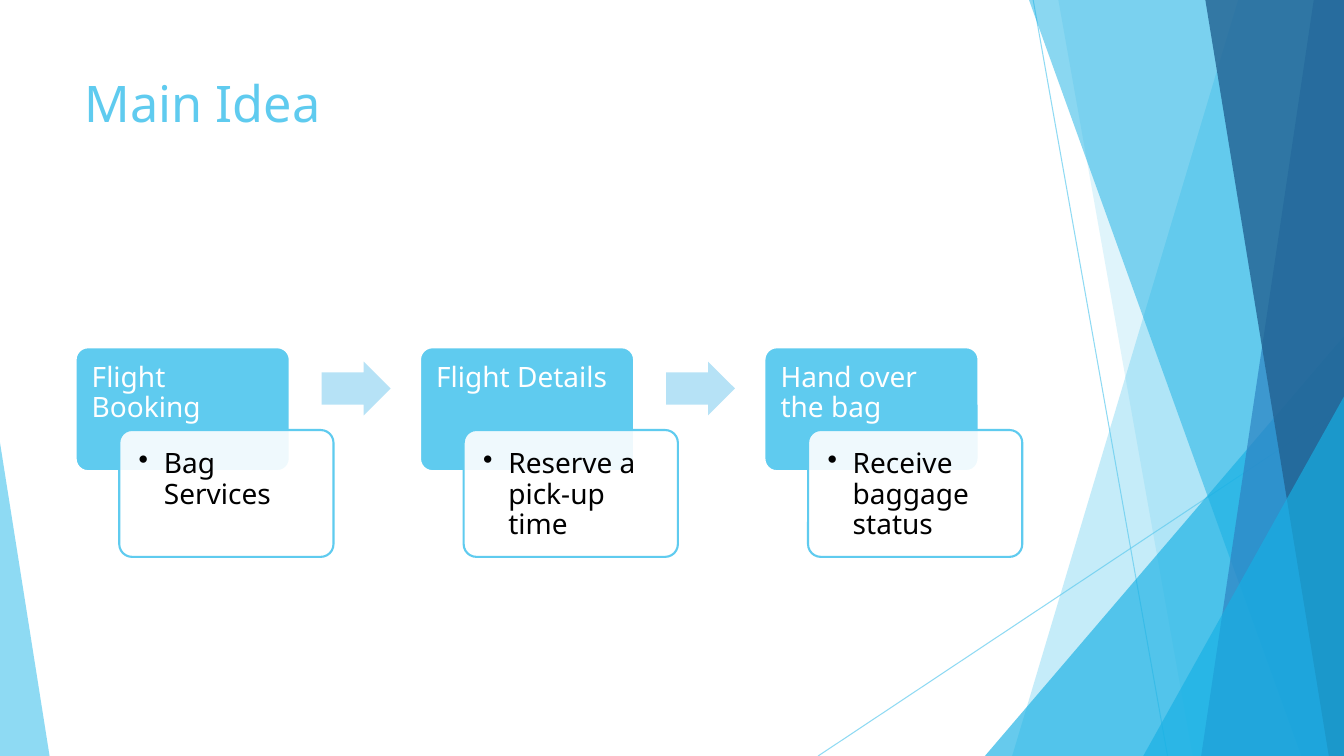
from lxml import etree
from pptx import Presentation, util as u
from pptx.dml.color import RGBColor
from pptx.enum import shapes, text
from pptx.oxml.ns import qn

COLORS = {
    "sky": "5FCBEF", "azure": "17B0E4", "blue": "2E83C3", "navy": "226292",
    "pale": "B6E2F6", "white": "FFFFFF", "black": "000000",
}
COLUMNS, ROWS = 160, 90
PRESET = shapes.MSO_SHAPE


def rgb(name):
    return RGBColor.from_string(COLORS[name])


def set_opacity(color_format_parent, percent):
    """Make the solid colour below the given element partly transparent."""
    color = color_format_parent.find(".//" + qn("a:srgbClr"))
    etree.SubElement(color, qn("a:alpha")).set("val", str(percent * 1000))


def write(frame, words, size=20, color="black", insets=(0.16,) * 4,
          spacing=None, bullet=None, indent=0.25):
    """Fill a text frame with one formatted paragraph; insets in inches."""
    frame.word_wrap = True
    frame.vertical_anchor = text.MSO_ANCHOR.TOP
    (frame.margin_left, frame.margin_top,
     frame.margin_right, frame.margin_bottom) = map(u.Inches, insets)
    paragraph = frame.paragraphs[0]
    paragraph.alignment = text.PP_ALIGN.LEFT
    paragraph.line_spacing = spacing
    run = paragraph.add_run()
    run.text = words
    run.font.name = "Noto Sans"
    run.font.size = u.Pt(size)
    run.font.color.rgb = rgb(color)
    if bullet:
        properties = paragraph._p.get_or_add_pPr()
        properties.set("marL", str(u.Inches(indent)))
        properties.set("indent", str(-u.Inches(indent)))
        etree.SubElement(properties, qn("a:buChar")).set("char", bullet)


class Deck:
    """Holds the current slide and draws on a grid of columns and rows."""

    def __init__(self):
        self.show = Presentation()
        self.show.slide_width = u.Inches(13.333)
        self.show.slide_height = u.Inches(7.5)
        self.slide = self.show.slides.add_slide(self.show.slide_layouts[6])
        self.items = self.slide.shapes

    def x(self, columns):
        return round(self.show.slide_width * columns / COLUMNS)

    def y(self, rows):
        return round(self.show.slide_height * rows / ROWS)

    def box(self, left, top, width, height):
        return self.x(left), self.y(top), self.x(width), self.y(height)

    def paint(self, shape, fill, opacity=100, outline=None):
        shape.shadow.inherit = False
        shape.fill.solid()
        shape.fill.fore_color.rgb = rgb(fill)
        if opacity < 100:
            set_opacity(shape._element.spPr, opacity)
        if outline:
            shape.line.color.rgb = rgb(outline)
            shape.line.width = u.Pt(1.5)
        else:
            shape.line.fill.background()

    def preset(self, kind, box, adjustments, fill, **style):
        shape = self.items.add_shape(kind, *self.box(*box))
        for index, value in enumerate(adjustments):
            shape.adjustments[index] = value
        self.paint(shape, fill, **style)

    def facet(self, top_column, bottom_column, fill, opacity):
        """Panel from a slanted left edge to the right edge of the slide."""
        outline = self.items.build_freeform(self.x(top_column), 0)
        outline.add_line_segments([
            (self.x(COLUMNS), 0), (self.x(COLUMNS), self.y(ROWS)),
            (self.x(bottom_column), self.y(ROWS))])
        self.paint(outline.convert_to_shape(), fill, opacity)

    def corner(self, left, top, width, apex, fill, opacity):
        """Right triangle standing on the bottom edge of the slide."""
        self.preset(PRESET.ISOSCELES_TRIANGLE, (left, top, width, ROWS - top),
                    [apex], fill, opacity=opacity)

    def hairline(self, x1, y1, x2, y2):
        line = self.items.add_connector(
            shapes.MSO_CONNECTOR.STRAIGHT,
            self.x(x1), self.y(y1), self.x(x2), self.y(y2))
        line.line.color.rgb = rgb("sky")
        line.line.width = u.Pt(0.75)
        set_opacity(line._element.spPr, 70)
        etree.SubElement(line._element.spPr, qn("a:effectLst"))

    def label(self, words, box, **style):
        write(self.items.add_textbox(*self.box(*box)).text_frame,
              words, **style)


def draw_backdrop(deck):
    deck.hairline(123, 0, 139, ROWS)
    deck.hairline(COLUMNS, 48.4, 97.4, ROWS)
    deck.facet(147.4, 120.5, "sky", 36)
    deck.facet(126, 142, "sky", 20)
    deck.corner(117.25, 40, 42.75, 1, "azure", 66)
    deck.facet(122.5, 154.9, "azure", 50)
    deck.facet(156.4, 143, "blue", 70)
    deck.facet(143.5, 158.2, "navy", 80)
    deck.corner(136.1, 47.2, 23.9, 1, "azure", 66)
    deck.corner(0, 52.7, 5.9, 0, "sky", 70)


def draw_steps(deck, steps):
    first_left, pitch, top = 9, 41, 41.35
    for index, (stage, action) in enumerate(steps):
        left = first_left + index * pitch
        # Stage card
        deck.preset(PRESET.ROUNDED_RECTANGLE, (left, top, 25.5, 14.75),
                    [0.1], "sky", outline="white")
        deck.label(stage, (left, top, 25.5, 9.8), color="white",
                   insets=(0.16, 0.16, 0.16, 0.08), spacing=0.9)
        # Action card, overlapping the stage
        deck.preset(PRESET.ROUNDED_RECTANGLE,
                    (left + 5.2, top + 9.85, 25.5, 15.1),
                    [0.1], "white", opacity=90, outline="sky")
        deck.label(action, (left + 5.6, top + 10.25, 24.6, 14.3),
                   spacing=0.9, bullet="•")
        # Arrow to the next step
        if index < len(steps) - 1:
            deck.preset(PRESET.RIGHT_ARROW, (left + 29.3, top + 1.7, 8.2, 6.4),
                        [0.6, 0.5], "pale")


def main():
    deck = Deck()
    draw_backdrop(deck)
    deck.label("Main Idea", (8.9, 8, 112.8, 17.3), size=36, color="sky",
               insets=(0.1, 0.05, 0.1, 0.05))
    draw_steps(deck, [
        ("Flight Booking", "Bag Services"),
        ("Flight Details", "Reserve a pick-up time"),
        ("Hand over the bag", "Receive baggage status"),
    ])
    deck.show.save("out.pptx")


if __name__ == "__main__":
    main()
